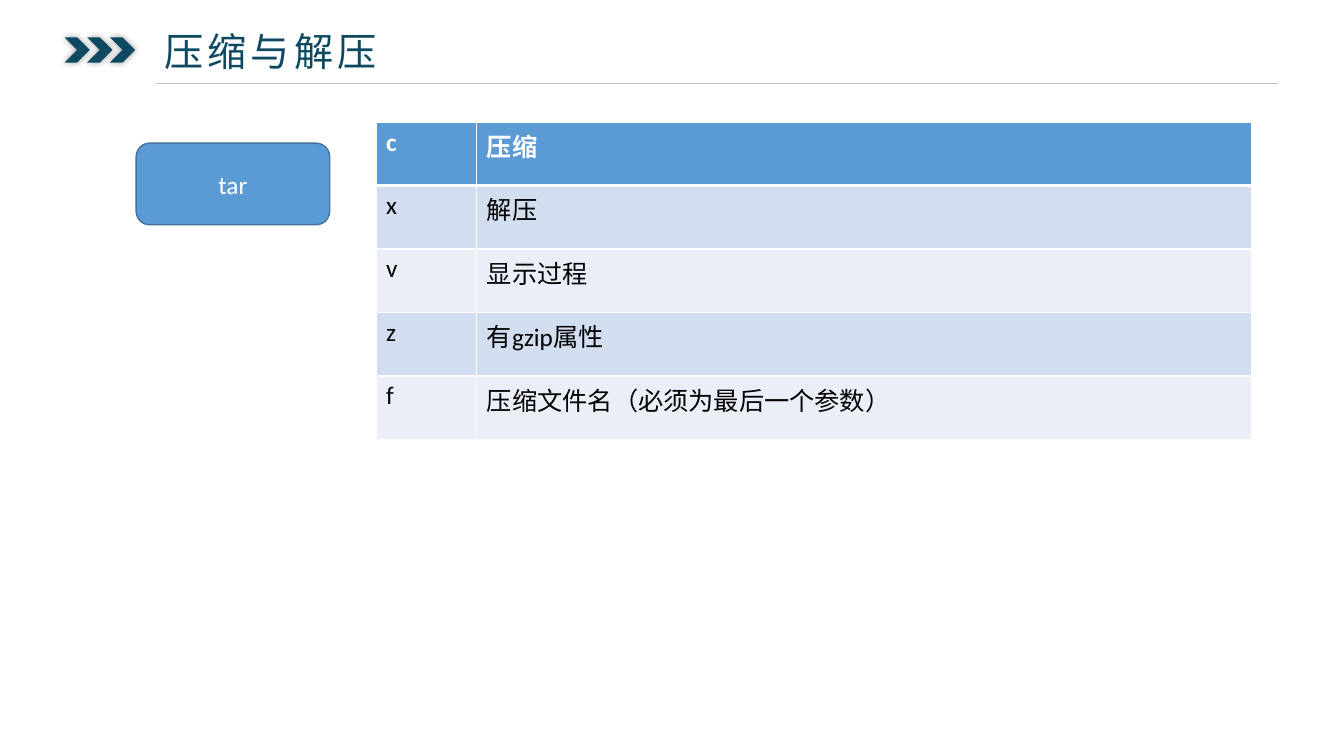
from lxml.etree import SubElement
from pptx import Presentation
from pptx.dml.color import RGBColor
from pptx.enum.shapes import MSO_CONNECTOR, MSO_SHAPE
from pptx.enum.text import MSO_ANCHOR, PP_ALIGN
from pptx.oxml.ns import qn
from pptx.util import Inches, Pt

TEAL = RGBColor(0x0D, 0x49, 0x60)
GRAY = RGBColor(0xBF, 0xBF, 0xBF)
BLUE = RGBColor(0x5B, 0x9B, 0xD5)
EDGE = RGBColor(0x43, 0x73, 0x9E)
DARK = RGBColor(0xD2, 0xDE, 0xEF)
PALE = RGBColor(0xEA, 0xEF, 0xF7)
WHITE = RGBColor(0xFF, 0xFF, 0xFF)
BLACK = RGBColor(0x00, 0x00, 0x00)
CJK = "Noto Sans CJK JP"
BODY = {"name": "Calibri", "size": Pt(18), "bold": False}


def write(frame, text, color, style):
    """Put one styled run into a text frame and return it."""
    run = frame.paragraphs[0].add_run()
    run.text = text
    for key, value in style.items():
        setattr(run.font, key, value)
    run.font.color.rgb = color
    SubElement(run.font._element, qn("a:ea"), typeface=CJK)
    return run


def border(cell, side, width):
    """Draw one white cell border."""
    line = SubElement(cell._tc.get_or_add_tcPr(), qn("a:ln" + side), w=str(Pt(width)))
    fill = SubElement(line, qn("a:solidFill"))
    SubElement(fill, qn("a:srgbClr"), val=str(WHITE))


deck = Presentation()
deck.slide_width, deck.slide_height = Inches(13.33), Inches(7.5)
slide = deck.slides.add_slide(deck.slide_layouts[6])
shapes = slide.shapes

# Chevrons with a soft shadow
group = shapes.add_group_shape()
for i in range(3):
    mark = group.shapes.add_shape(
        MSO_SHAPE.CHEVRON, Inches(0.64 + 0.225 * i), Inches(0.37), Inches(0.25), Inches(0.25))
    mark.fill.solid()
    mark.fill.fore_color.rgb = TEAL
    mark.line.fill.background()
    mark.shadow.inherit = False
    glow = SubElement(mark._element.spPr.find(qn("a:effectLst")), qn("a:outerShdw"),
                      blurRad=str(Pt(5)), dist="0", dir="0", algn="ctr", rotWithShape="0")
    tint = SubElement(glow, qn("a:srgbClr"), val=str(BLACK))
    SubElement(tint, qn("a:alpha"), val="40000")

# Title and rule
title = shapes.add_textbox(Inches(1.55), Inches(0.23), Inches(5.8), Inches(0.55))
frame = title.text_frame
margins = {"margin_left": 0.08, "margin_right": 0.08, "margin_top": 0.04, "margin_bottom": 0.04}
for key, value in margins.items():
    setattr(frame, key, Inches(value))
frame.word_wrap = True
run = write(frame, "压缩与解压", TEAL, {"name": CJK, "size": Pt(28)})
run.font._element.set("spc", "300")

rule = shapes.add_connector(
    MSO_CONNECTOR.STRAIGHT, Inches(1.55), Inches(0.83), Inches(12.68), Inches(0.83))
rule.line.color.rgb = GRAY
rule.line.width = Pt(0.5)
SubElement(rule._element.spPr, qn("a:effectLst"))

# Command box
box = shapes.add_shape(
    MSO_SHAPE.ROUNDED_RECTANGLE, Inches(1.35), Inches(1.42), Inches(1.92), Inches(0.81))
box.fill.solid()
box.fill.fore_color.rgb = BLUE
box.line.color.rgb = EDGE
box.line.width = Pt(1)
box.shadow.inherit = False
box.text_frame.vertical_anchor = MSO_ANCHOR.MIDDLE
box.text_frame.paragraphs[0].alignment = PP_ALIGN.CENTER
write(box.text_frame, "tar", WHITE, BODY)

# Option table
rows = [
    ("c", "压缩"),
    ("x", "解压"),
    ("v", "显示过程"),
    ("z", "有gzip属性"),
    ("f", "压缩文件名（必须为最后一个参数）"),
]
table = shapes.add_table(
    len(rows), 2, Inches(3.73), Inches(1.21), Inches(8.68), Inches(3.15)).table
table.columns[0].width, table.columns[1].width = Inches(1), Inches(7.68)
for r, row in enumerate(rows):
    head = r == 0
    table.rows[r].height = Inches(0.63)
    for c, text in enumerate(row):
        cell = table.cell(r, c)
        widths = {"L": 1, "R": 1, "T": 3 if r == 1 else 1, "B": 3 if head else 1}
        for side, width in widths.items():
            border(cell, side, width)
        cell.fill.solid()
        cell.fill.fore_color.rgb = BLUE if head else DARK if r % 2 else PALE
        write(cell.text_frame, text, WHITE if head else BLACK, {**BODY, "bold": head})

deck.save("out.pptx")
